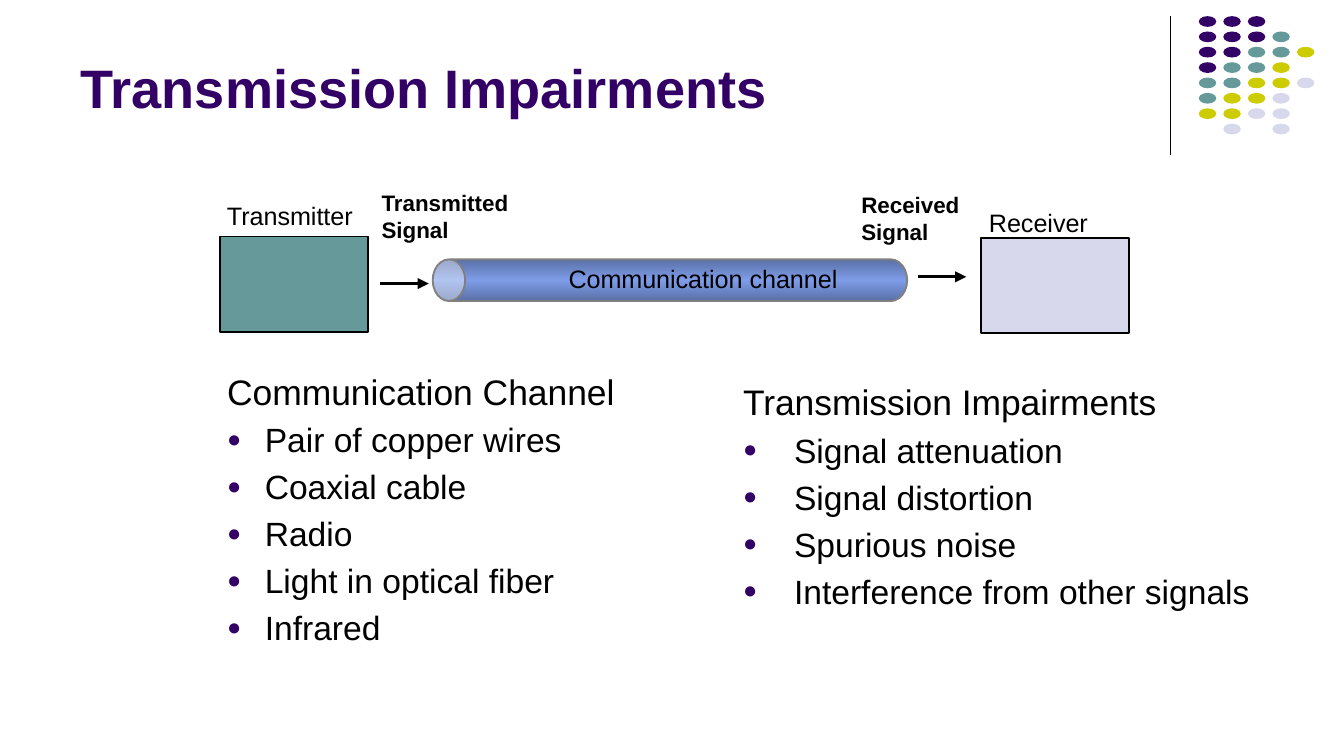
from copy import deepcopy
from dataclasses import dataclass

from lxml import etree
from pptx import Presentation
from pptx.dml.color import RGBColor
from pptx.enum import shapes, text
from pptx.oxml.ns import qn
from pptx.util import Inches, Pt


@dataclass(frozen=True)
class Theme:
    font: str = "Arial"
    ink: str = "000000"
    plum: str = "330066"
    teal: str = "669999"
    lime: str = "CCCC00"
    mist: str = "D8D8EC"
    gray: str = "808080"
    edge: str = "5A70A6"
    core: str = "7E9CE8"
    title: float = 29
    head: float = 19
    item: float = 18
    label: float = 13.5
    note: float = 12
    gap: float = 3.6


THEME = Theme()
SHAPE = shapes.MSO_SHAPE
DOTS = ["PPP", "PPPT", "PPTTL", "PTTL", "TTLLM", "TLLM", "LLMM", " M M"]
DOT_FILL = {"P": THEME.plum, "T": THEME.teal, "L": THEME.lime, "M": THEME.mist}
CHANNELS = ["Pair of copper wires", "Coaxial cable", "Radio",
            "Light in optical fiber", "Infrared"]
FAULTS = ["Signal attenuation", "Signal distortion", "Spurious noise",
          "Interference from other signals"]


def rgb(code):
    return RGBColor.from_string(code)


def place(shape, box):
    shape.left, shape.top, shape.width, shape.height = map(Inches, box)


def write(para, words, size=THEME.item, color=THEME.ink, bold=False):
    para.text = words
    para.alignment = text.PP_ALIGN.LEFT
    font = para.font
    font.name, font.size, font.bold = THEME.font, Pt(size), bold
    font.color.rgb = rgb(color)


def add_label(slide, box, words, wrap=False, inset=(0.1, 0.05), **style):
    shape = slide.shapes.add_textbox(*map(Inches, box))
    frame = shape.text_frame
    frame.word_wrap = wrap
    frame.margin_left = frame.margin_right = Inches(inset[0])
    frame.margin_top = frame.margin_bottom = Inches(inset[1])
    write(frame.paragraphs[0], words, **style)


def set_bullet(para, indent, mark):
    props = para._p.get_or_add_pPr()
    props.set("marL", str(Inches(indent)))
    props.set("indent", str(-Inches(indent)))
    if not mark:
        etree.SubElement(props, qn("a:buNone"))
        return
    color = etree.SubElement(props, qn("a:buClr"))
    etree.SubElement(color, qn("a:srgbClr"), val=THEME.plum)
    etree.SubElement(props, qn("a:buSzPct"), val="70000")
    etree.SubElement(props, qn("a:buFont"), typeface=THEME.font)
    etree.SubElement(props, qn("a:buChar"), char=mark)


def fill_list(shape, box, head, items, indent):
    place(shape, box)
    frame = shape.text_frame
    frame.word_wrap = True
    frame.auto_size = text.MSO_AUTO_SIZE.NONE
    first = frame.paragraphs[0]
    set_bullet(first, indent, None)
    write(first, head, size=THEME.head)
    first.space_before = Pt(0)
    for item in items:
        para = frame.add_paragraph()
        set_bullet(para, indent, "●")
        write(para, item)
        para.space_before = Pt(THEME.gap)


def add_shape(slide, kind, box, fill=None, line=None):
    shape = slide.shapes.add_shape(kind, *map(Inches, box))
    shape.shadow.inherit = False
    if fill:
        shape.fill.solid()
        shape.fill.fore_color.rgb = rgb(fill)
    if line:
        shape.line.color.rgb = rgb(line)
        shape.line.width = Pt(1)
    else:
        shape.line.fill.background()
    return shape


def add_line(slide, start, end, width, arrow=False):
    line = slide.shapes.add_connector(
        shapes.MSO_CONNECTOR.STRAIGHT, *map(Inches, start + end))
    line.line.color.rgb = rgb(THEME.ink)
    line.line.width = Pt(width)
    if arrow:
        etree.SubElement(line.line._get_or_add_ln(), qn("a:tailEnd"),
                         type="triangle")
    etree.SubElement(line._element.spPr, qn("a:effectLst"))


def add_dots(slide):
    for row, marks in enumerate(DOTS):
        for col, mark in enumerate(marks):
            if mark in DOT_FILL:
                box = (8.92 + 0.73 * col / 4, 0.12 + 0.8 * row / 7, 0.13, 0.08)
                add_shape(slide, SHAPE.OVAL, box, DOT_FILL[mark])


def add_pipe(slide):
    """Draw the channel as a can lying on its side, lid to the left."""
    pipe = add_shape(slide, SHAPE.CAN, (4.83, 0.32, 0.31, 3.53),
                     line=THEME.gray)
    pipe.adjustments[0] = 0.78
    pipe.rotation = 270
    pipe._element.spPr.xfrm.set("flipH", "1")
    pipe.fill.gradient()
    pipe.fill.gradient_angle = 0
    stops = pipe.fill._xPr.find(qn("a:gradFill")).find(qn("a:gsLst"))
    stops.append(deepcopy(stops[-1]))
    shades = [(0, THEME.edge), (0.5, THEME.core), (1, THEME.edge)]
    for stop, (spot, color) in zip(pipe.fill.gradient_stops, shades):
        stop.position = spot
        stop.color.rgb = rgb(color)


def add_diagram(slide):
    add_label(slide, (2.74, 1.36, 1.49, 0.51), "Transmitted Signal",
              wrap=True, size=THEME.note, bold=True)
    add_label(slide, (6.31, 1.37, 1.18, 0.51), "Received Signal",
              wrap=True, size=THEME.note, bold=True)
    add_shape(slide, SHAPE.RECTANGLE, (7.3, 1.77, 1.1, 0.71),
              THEME.mist, THEME.ink)
    add_label(slide, (7.26, 1.49, 0.95, 0.33), "Receiver", size=THEME.label)
    add_pipe(slide)
    add_label(slide, (4.16, 1.92, 2.18, 0.3), "Communication channel",
              inset=(0.07, 0.04), size=THEME.label)
    add_shape(slide, SHAPE.RECTANGLE, (1.64, 1.76, 1.1, 0.71),
              THEME.teal, THEME.ink)
    add_label(slide, (1.59, 1.44, 1.15, 0.33), "Transmitter",
              size=THEME.label)
    for x, y in [(2.83, 2.11), (6.83, 2.06)]:
        add_line(slide, (x, y), (x + 0.36, y), 1.5, arrow=True)


def set_title(shape, words):
    place(shape, (0.5, 0.1, 8.25, 0.84))
    frame = shape.text_frame
    frame.auto_size = text.MSO_AUTO_SIZE.NONE
    frame.vertical_anchor = text.MSO_ANCHOR.BOTTOM
    write(frame.paragraphs[0], words, size=THEME.title, color=THEME.plum,
          bold=True)


def main():
    deck = Presentation()
    deck.slide_width = Inches(10)
    deck.slide_height = deck.slide_width * 9 // 16
    slide = deck.slides.add_slide(deck.slide_layouts[1])
    add_line(slide, (8.71, 0.12), (8.71, 1.15), 0.75)
    add_dots(slide)
    set_title(slide.shapes.title, "Transmission Impairments")
    fill_list(slide.placeholders[1], (1.59, 2.7, 3.31, 2.26),
              "Communication Channel", CHANNELS, 0.28)
    faults = slide.shapes.add_textbox(0, 0, 0, 0)
    fill_list(faults, (5.43, 2.78, 4.12, 2.4),
              "Transmission Impairments", FAULTS, 0.38)
    add_diagram(slide)
    deck.save("out.pptx")


if __name__ == "__main__":
    main()
